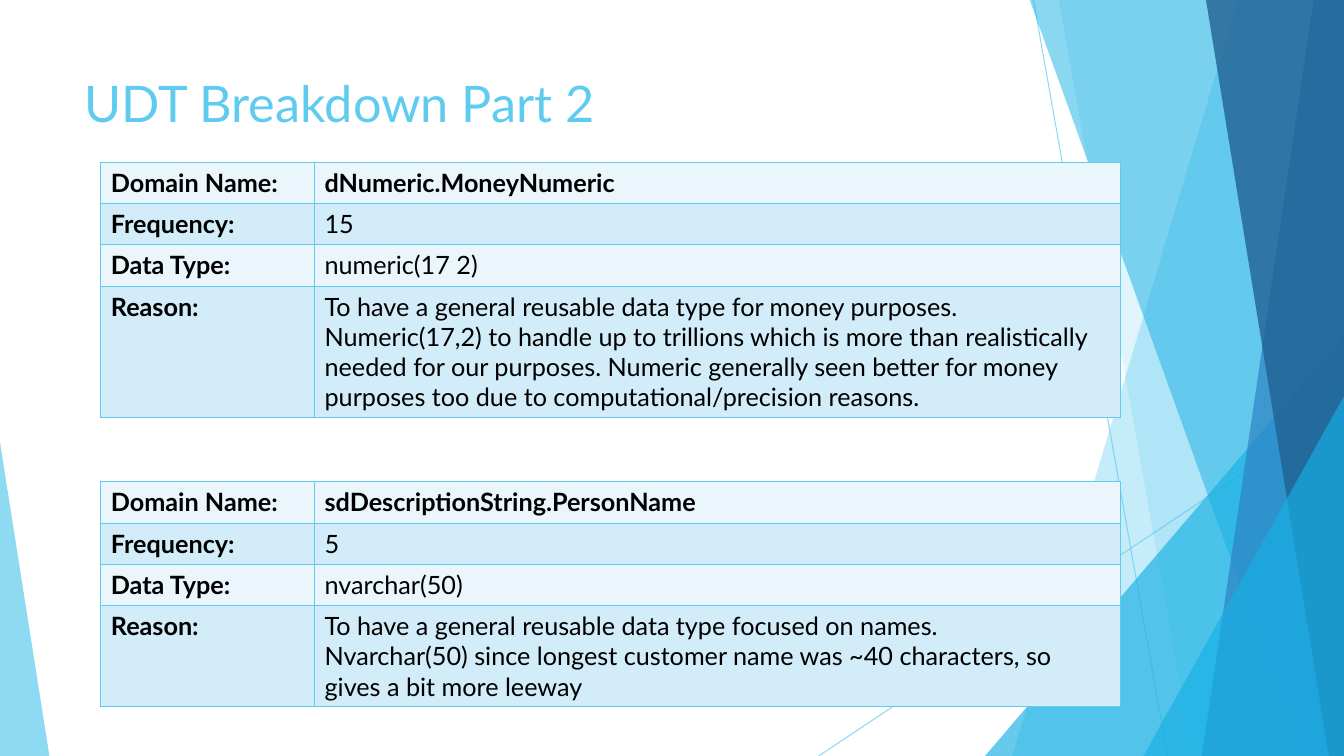
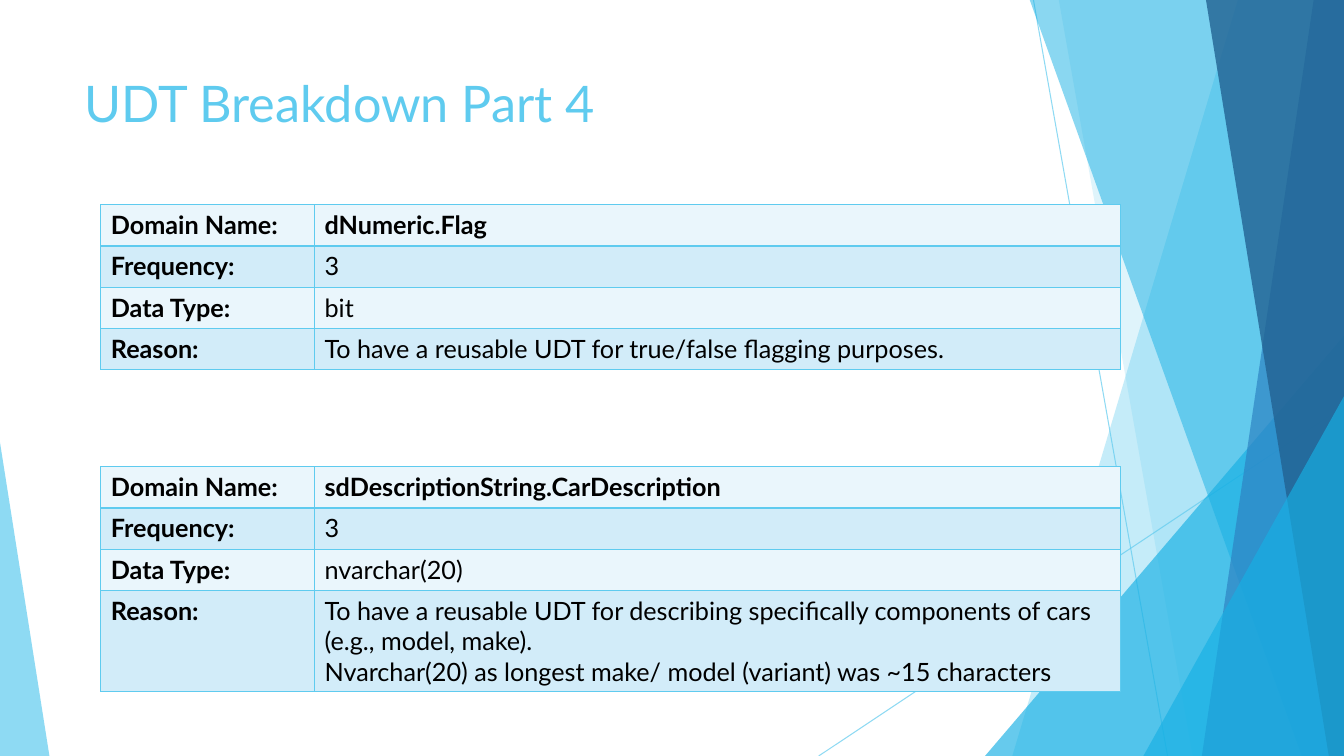
from dataclasses import dataclass

from lxml import etree
from pptx import Presentation
from pptx.dml import color
from pptx.enum import shapes, text
from pptx.oxml import ns
from pptx.util import Inches, Pt

COLORS = {
    "sky": "5FCBEF",
    "cyan": "17B0E4",
    "blue": "2E83C3",
    "navy": "226292",
    "light_row": "EAF6FC",
    "dark_row": "D2ECF9",
    "ink": "000000",
}
FONT = "Lato"
WIDTH, HEIGHT = 13.33, 7.5
BLEED_TOP = -0.01
TABLE_LEFT = 1
COLUMN_WIDTHS = (2.12, 7.99)
ROW_HEIGHT = 0.41
LABELS = ("Domain Name:", "Frequency:", "Data Type:", "Reason:")


@dataclass(frozen=True)
class Ray:
    start: tuple[float, float]
    end: tuple[float, float]


@dataclass(frozen=True)
class Facet:
    top_x: float
    bottom_x: float
    tint: str
    opacity: int


@dataclass(frozen=True)
class Wedge:
    left: float
    top: float
    width: float
    apex: float
    tint: str
    opacity: int


@dataclass(frozen=True)
class Domain:
    top: float
    name: str
    frequency: str
    data_type: str
    reason: str


@dataclass(frozen=True)
class Breakdown:
    title: str
    domains: tuple[Domain, ...]


RAYS = (Ray((10.25, 0), (11.58, HEIGHT)), Ray((WIDTH, 4.03), (8.12, HEIGHT)))
SCENERY = (
    Facet(12.28, 10.04, "sky", 36),
    Facet(10.5, 11.83, "sky", 20),
    Wedge(9.77, 3.33, 3.56, 1, "cyan", 66),
    Facet(10.21, 12.91, "cyan", 50),
    Facet(13.03, 11.92, "blue", 70),
    Facet(11.96, 13.18, "navy", 80),
    Wedge(11.34, 3.93, 1.99, 1, "cyan", 66),
    Wedge(0, 4.39, 0.49, 0, "sky", 70),
)
BREAKDOWNS = (
    Breakdown("UDT Breakdown Part 2", (
        Domain(1.61, "dNumeric.MoneyNumeric", "15", "numeric(17 2)",
               "To have a general reusable data type for money purposes.\n"
               "Numeric(17,2) to handle up to trillions which is more than realistically "
               "needed for our purposes. Numeric generally seen better for money "
               "purposes too due to computational/precision reasons."),
        Domain(4.78, "sdDescriptionString.PersonName", "5", "nvarchar(50)",
               "To have a general reusable data type focused on names.\n"
               "Nvarchar(50) since longest customer name was ~40 characters, "
               "so gives a bit more leeway"),
    )),
    Breakdown("UDT Breakdown Part 4", (
        Domain(2.03, "dNumeric.Flag", "3", "bit",
               "To have a reusable UDT for true/false flagging purposes."),
        Domain(4.63, "sdDescriptionString.CarDescription", "3", "nvarchar(20)",
               "To have a reusable UDT for describing specifically components of cars "
               "(e.g., model, make).\n"
               "Nvarchar(20) as longest make/ model (variant) was ~15 characters"),
    )),
)


def rgb(name: str) -> color.RGBColor:
    return color.RGBColor.from_string(COLORS[name])


def paint(fill, tint: str, opacity: int = 100) -> None:
    fill.solid()
    fill.fore_color.rgb = rgb(tint)
    if opacity < 100:
        srgb = fill._xPr.find(".//" + ns.qn("a:srgbClr"))
        etree.SubElement(srgb, ns.qn("a:alpha"), val=str(opacity * 1000))


def draw_ray(slide, ray: Ray) -> None:
    line = slide.shapes.add_connector(
        shapes.MSO_CONNECTOR.STRAIGHT, *map(Inches, ray.start + ray.end))
    line.line.width = Pt(0.75)
    paint(line.line.fill, "sky", 70)
    etree.SubElement(line._element.spPr, ns.qn("a:effectLst"))


def draw_scenery(slide, part: Facet | Wedge) -> None:
    if isinstance(part, Facet):
        outline = slide.shapes.build_freeform(Inches(part.top_x), Inches(BLEED_TOP))
        corners = ((WIDTH, BLEED_TOP), (WIDTH, HEIGHT), (part.bottom_x, HEIGHT))
        outline.add_line_segments([(Inches(x), Inches(y)) for x, y in corners])
        piece = outline.convert_to_shape()
    else:
        piece = slide.shapes.add_shape(
            shapes.MSO_SHAPE.ISOSCELES_TRIANGLE, Inches(part.left), Inches(part.top),
            Inches(part.width), Inches(HEIGHT - part.top))
        piece.adjustments[0] = part.apex
    piece.shadow.inherit = False
    piece.line.fill.background()
    paint(piece.fill, part.tint, part.opacity)


def add_run(paragraph, words: str, size: float, tint: str, bold: bool = False) -> None:
    run = paragraph.add_run()
    run.text = words
    run.font.name = FONT
    run.font.size = Pt(size)
    run.font.bold = bold
    run.font.color.rgb = rgb(tint)


def place_title(slide, words: str) -> None:
    title = slide.shapes.title
    title.left, title.top = Inches(0.74), Inches(0.67)
    title.width, title.height = Inches(9.4), Inches(1.23)
    frame = title.text_frame
    frame.word_wrap = True
    frame.auto_size = text.MSO_AUTO_SIZE.NONE
    frame.vertical_anchor = text.MSO_ANCHOR.TOP
    frame.paragraphs[0].alignment = text.PP_ALIGN.LEFT
    add_run(frame.paragraphs[0], words, 36, "sky")


def add_borders(cell) -> None:
    properties = cell._tc.get_or_add_tcPr()
    for side in ("lnL", "lnR", "lnT", "lnB"):
        border = etree.SubElement(properties, ns.qn(f"a:{side}"), w=str(Pt(1)))
        solid = etree.SubElement(border, ns.qn("a:solidFill"))
        etree.SubElement(solid, ns.qn("a:srgbClr"), val=COLORS["sky"])


def fill_cell(cell, words: str, band: str, bold: bool) -> None:
    add_borders(cell)
    paint(cell.fill, band)
    paragraph = cell.text_frame.paragraphs[0]
    for index, line in enumerate(words.split("\n")):
        if index:
            paragraph.add_line_break()
        add_run(paragraph, line, 18, "ink", bold)


def draw_domain(slide, domain: Domain) -> None:
    values = (domain.name, domain.frequency, domain.data_type, domain.reason)
    table = slide.shapes.add_table(
        len(LABELS), len(COLUMN_WIDTHS), Inches(TABLE_LEFT), Inches(domain.top),
        Inches(sum(COLUMN_WIDTHS)), Inches(ROW_HEIGHT * len(LABELS))).table
    table.first_row = table.horz_banding = False
    for column, width in zip(table.columns, COLUMN_WIDTHS):
        column.width = Inches(width)
    for index, (label, value) in enumerate(zip(LABELS, values)):
        table.rows[index].height = Inches(ROW_HEIGHT)
        band = "dark_row" if index % 2 else "light_row"
        fill_cell(table.cell(index, 0), label, band, True)
        fill_cell(table.cell(index, 1), value, band, index == 0)


def build_slide(deck, breakdown: Breakdown) -> None:
    slide = deck.slides.add_slide(deck.slide_layouts[5])
    for ray in RAYS:
        draw_ray(slide, ray)
    for part in SCENERY:
        draw_scenery(slide, part)
    place_title(slide, breakdown.title)
    for domain in breakdown.domains:
        draw_domain(slide, domain)


def main() -> None:
    deck = Presentation()
    deck.slide_width, deck.slide_height = Inches(WIDTH), Inches(HEIGHT)
    for breakdown in BREAKDOWNS:
        build_slide(deck, breakdown)
    deck.save("out.pptx")


if __name__ == "__main__":
    main()
